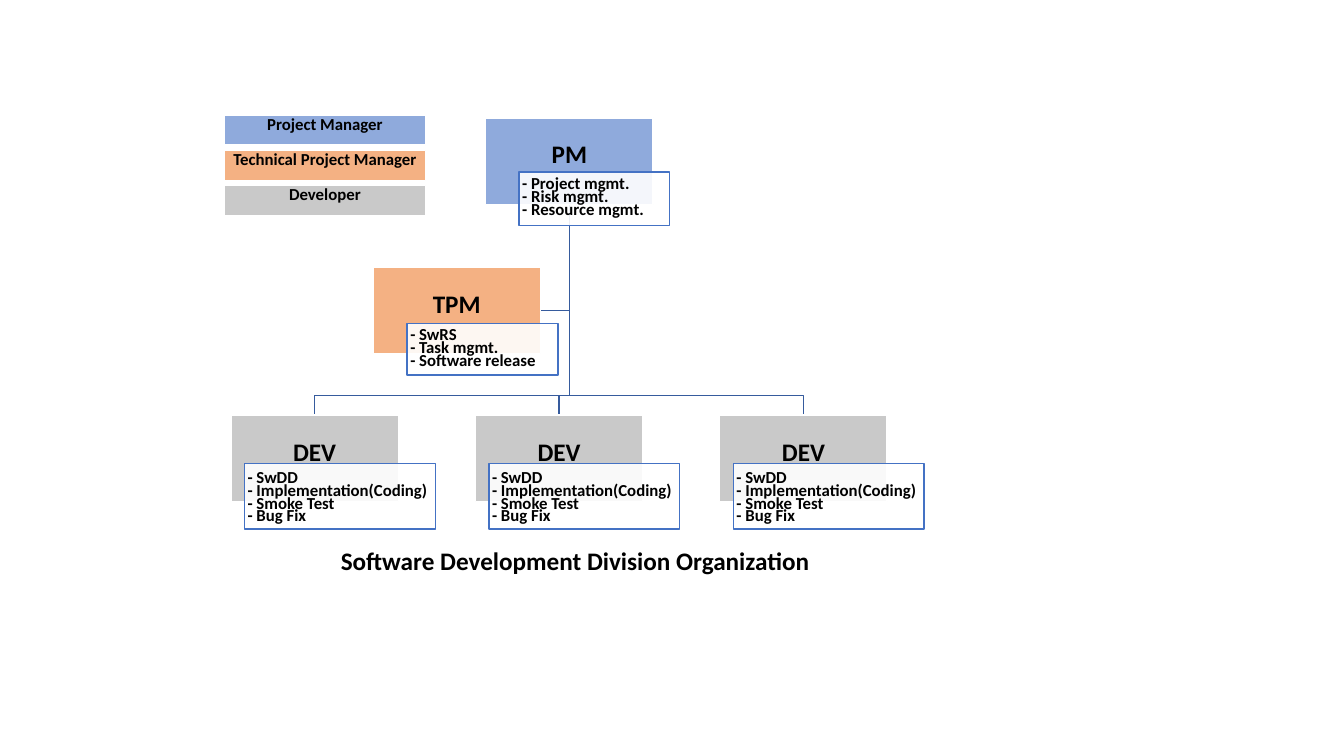
from lxml import etree
from pptx import Presentation
from pptx.dml.color import RGBColor
from pptx.enum.shapes import MSO_SHAPE
from pptx.enum.text import MSO_ANCHOR, PP_ALIGN
from pptx.oxml.ns import qn
from pptx.util import Cm, Pt

RECTANGLE = MSO_SHAPE.RECTANGLE
TOP, MIDDLE = MSO_ANCHOR.TOP, MSO_ANCHOR.MIDDLE
LEFT, CENTER = PP_ALIGN.LEFT, PP_ALIGN.CENTER

FONT = "Calibri"
COLORS = {
    "manager": "8FAADC",
    "technical": "F4B183",
    "developer": "C9C9C9",
    "white": "FFFFFF",
    "text": "000000",
    "duty_line": "4472C4",
    "branch": "365B9D",
}

# Lengths in centimetres
ROLE_W, ROLE_H = 4.22, 2.18
PM_AT = (12.24, 2.97)
TPM_AT = (9.4, 6.73)
DEV_LEFT, DEV_TOP, DEV_STEP, DEV_COUNT = 5.82, 10.46, 6.16, 3
BUS_Y = 9.96

PM_DUTIES = ["Project mgmt.", "Risk mgmt.", "Resource mgmt."]
TPM_DUTIES = ["SwRS", "Task mgmt.", "Software release"]
DEV_DUTIES = ["SwDD", "Implementation(Coding)", "Smoke Test", "Bug Fix"]
LEGEND = [
    ("Project Manager", "manager"),
    ("Technical Project Manager", "technical"),
    ("Developer", "developer"),
]


def color(name):
    return RGBColor.from_string(COLORS[name])


def write(frame, lines, size, align, anchor, insets):
    """Fill a text frame with bold lines; insets are left, top, right, bottom."""
    frame.word_wrap = True
    frame.vertical_anchor = anchor
    (frame.margin_left, frame.margin_top,
     frame.margin_right, frame.margin_bottom) = [Cm(inset) for inset in insets]
    for index, line in enumerate(lines):
        paragraph = frame.add_paragraph() if index else frame.paragraphs[0]
        paragraph.text = line
        paragraph.alignment = align
        font = paragraph.font
        font.name, font.size, font.bold = FONT, Pt(size), True
        font.color.rgb = color("text")


def add_box(slide, left, top, width, height, fill, line):
    box = slide.shapes.add_shape(RECTANGLE, Cm(left), Cm(top), Cm(width), Cm(height))
    box.shadow.inherit = False
    box.fill.solid()
    box.fill.fore_color.rgb = color(fill)
    box.line.color.rgb = color(line)
    box.line.width = Pt(1)
    return box


def add_label(slide, left, top, width, height, text, fill, size):
    """Coloured box with a centred name."""
    box = add_box(slide, left, top, width, height, fill, "white")
    write(box.text_frame, [text], size, CENTER, MIDDLE, (0.03, 0.03, 0.03, 0.3))
    box.text_frame.paragraphs[0].line_spacing = 0.9


def add_duties(slide, left, top, width, height, duties, text_top):
    """Slightly transparent card listing the duties of a role."""
    card = add_box(slide, left, top, width, height, "white", "duty_line")
    fill_color = card.fill._xPr.find(qn("a:solidFill"))[0]
    etree.SubElement(fill_color, qn("a:alpha"), val="90000")
    write(card.text_frame, [f"- {duty}" for duty in duties], 12, LEFT, TOP,
          (0.08, text_top, 0.08, 0.03))
    for paragraph in card.text_frame.paragraphs:
        paragraph.line_spacing = Pt(5)
        paragraph.space_after = Pt(4.2)


def add_role(slide, left, top, name, fill, duties, card, text_top):
    """Role box with its duty card; card is x offset, y offset, width, height."""
    add_label(slide, left, top, ROLE_W, ROLE_H, name, fill, 18)
    dx, dy, width, height = card
    add_duties(slide, left + dx, top + dy, width, height, duties, text_top)


def add_branch(slide, points):
    (x, y), *rest = [(Cm(px), Cm(py)) for px, py in points]
    builder = slide.shapes.build_freeform(x, y)
    builder.add_line_segments(rest, close=False)
    branch = builder.convert_to_shape()
    branch.shadow.inherit = False
    branch.fill.background()
    branch.line.color.rgb = color("branch")
    branch.line.width = Pt(1)


def add_organization(slide):
    dev_lefts = [DEV_LEFT + i * DEV_STEP for i in range(DEV_COUNT)]

    # Branches from the manager
    trunk_x, trunk_y = PM_AT[0] + ROLE_W / 2, PM_AT[1] + ROLE_H
    tpm_y = TPM_AT[1] + ROLE_H / 2
    add_branch(slide, [(trunk_x, trunk_y), (trunk_x, tpm_y),
                       (TPM_AT[0] + ROLE_W, tpm_y)])
    for left in dev_lefts:
        dev_x = left + ROLE_W / 2
        add_branch(slide, [(trunk_x, trunk_y), (trunk_x, BUS_Y),
                           (dev_x, BUS_Y), (dev_x, DEV_TOP)])

    # Roles
    add_role(slide, *PM_AT, "PM", "manager", PM_DUTIES, (0.84, 1.37, 3.8, 1.35), 0.35)
    for left in dev_lefts:
        add_role(slide, left, DEV_TOP, "DEV", "developer", DEV_DUTIES,
                 (0.34, 1.22, 4.81, 1.65), 0.41)
    add_role(slide, *TPM_AT, "TPM", "technical", TPM_DUTIES,
             (0.86, 1.42, 3.8, 1.3), 0.35)


def add_legend(slide, left, top, width, row_height, step):
    for row, (name, fill) in enumerate(LEGEND):
        add_label(slide, left, top + row * step, width, row_height, name, fill, 12)


def add_caption(slide, left, top, width, height):
    caption = slide.shapes.add_textbox(Cm(left), Cm(top), Cm(width), Cm(height))
    write(caption.text_frame, ["Software Development Division Organization"], 18,
          LEFT, TOP, (0.25, 0.13, 0.25, 0.13))
    caption.text_frame.word_wrap = False


def main():
    presentation = Presentation()
    presentation.slide_width, presentation.slide_height = Cm(33.87), Cm(19.05)
    slide = presentation.slides.add_slide(presentation.slide_layouts[6])
    add_organization(slide)
    add_legend(slide, 5.65, 2.9, 5.08, 0.76, 0.89)
    add_caption(slide, 8.34, 13.61, 12.42, 1.02)
    presentation.save("out.pptx")


if __name__ == "__main__":
    main()
